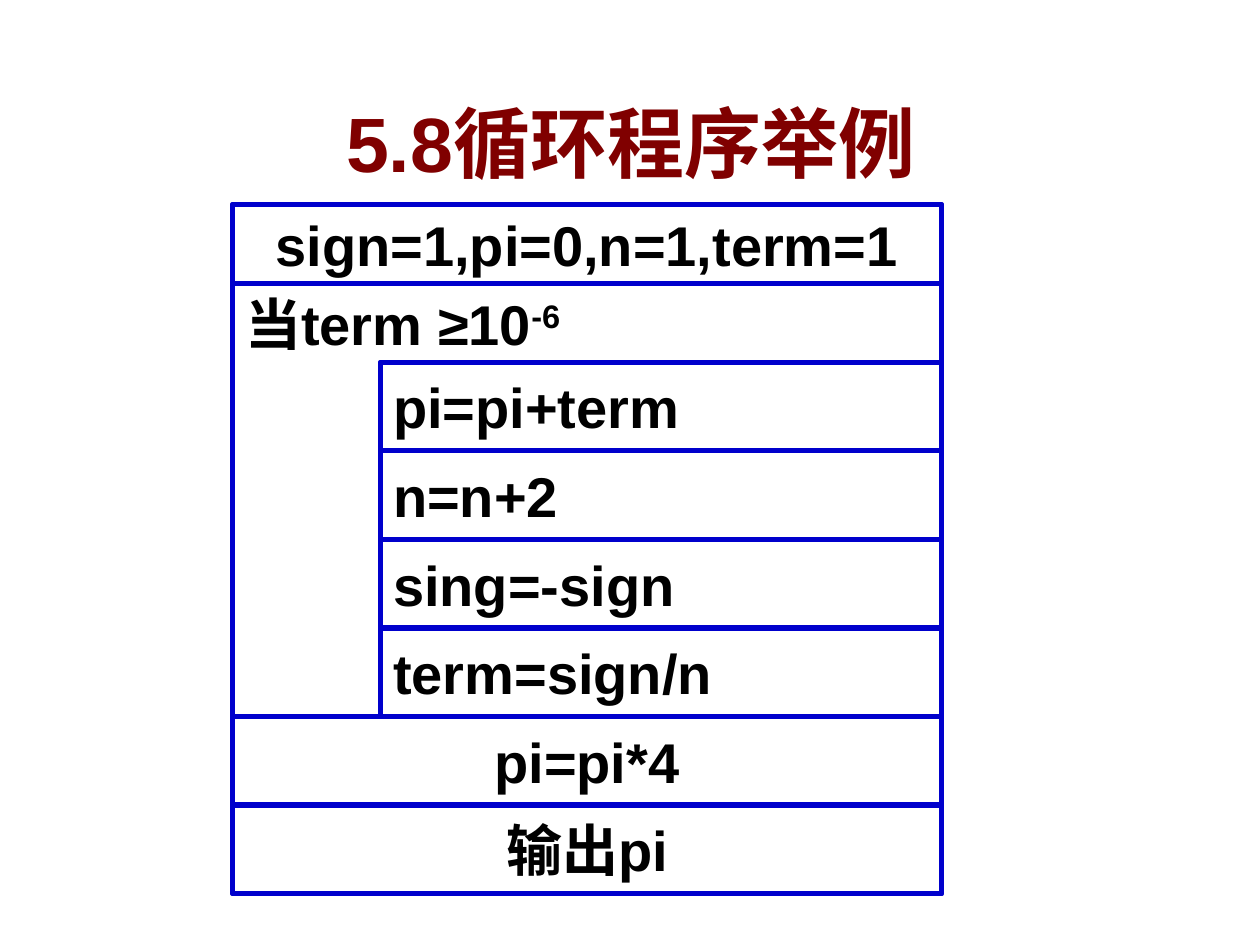
import pptx
import pptx.util
import pptx.dml.color
import pptx.enum.shapes
import pptx.enum.text
import pptx.oxml
import pptx.oxml.ns

Pt = pptx.util.Pt
RGB = pptx.dml.color.RGBColor
Kind = pptx.enum.shapes.MSO_SHAPE
Align = pptx.enum.text.PP_ALIGN
Anchor = pptx.enum.text.MSO_ANCHOR

WHITE = RGB(0xFF, 0xFF, 0xFF)
BLACK = RGB(0, 0, 0)
BLUE = RGB(0, 0, 0xCC)
MAROON = RGB(0x80, 0, 0)

SHADOW = (
    f'<a:effectLst {pptx.oxml.ns.nsdecls("a")}>'
    '<a:outerShdw dist="38100" dir="2700000" algn="tl">'
    '<a:srgbClr val="C0C0C0"/></a:outerShdw></a:effectLst>'
)


def add_text(para, text, size=32, color=BLACK, font="Arial", bold=True, base=0):
    run = para.add_run()
    run.text = text
    run.font.size = Pt(size)
    run.font.bold = bold
    run.font.name = font
    run.font.color.rgb = color
    if base:
        run.font._element.set("baseline", str(base * 1000))
    return run


class Deck:
    line = BLUE
    fill = WHITE
    weight = 3

    def __init__(self, wide, high):
        self.file = pptx.Presentation()
        self.file.slide_width = Pt(wide)
        self.file.slide_height = Pt(high)
        self.slide = self.file.slides.add_slide(self.file.slide_layouts[5])
        self.group = self.slide.shapes.add_group_shape()

    def title(self, text, left, top, wide, high):
        shape = self.slide.shapes.title
        shape.left, shape.top = Pt(left), Pt(top)
        shape.width, shape.height = Pt(wide), Pt(high)
        frame = shape.text_frame
        frame.vertical_anchor = Anchor.MIDDLE
        para = frame.paragraphs[0]
        para.alignment = Align.CENTER
        run = add_text(para, text, size=44, color=MAROON)
        fill = run.font._element.find(pptx.oxml.ns.qn("a:solidFill"))
        fill.addnext(pptx.oxml.parse_xml(SHADOW))

    def box(self, left, top, wide, high, text="", power="",
            kind=Kind.FLOWCHART_PROCESS, align=Align.LEFT, anchor=Anchor.MIDDLE):
        shape = self.group.shapes.add_shape(
            kind, Pt(left), Pt(top), Pt(wide), Pt(high))
        shape.shadow.inherit = False
        shape.fill.solid()
        shape.fill.fore_color.rgb = self.fill
        shape.line.color.rgb = self.line
        shape.line.width = Pt(self.weight)
        if not text:
            return
        frame = shape.text_frame
        frame.word_wrap = False
        frame.vertical_anchor = anchor
        para = frame.paragraphs[0]
        para.alignment = align
        add_text(para, text)
        if power:
            add_text(para, power, base=30)


def main():
    deck = Deck(720, 540)
    deck.title("5.8循环程序举例", 101.5, 51, 518, 60.5)

    left, top, wide = 133, 117, 405
    inset, head, row = 84.5, 45, 50.6
    steps = ["pi=pi+term", "n=n+2", "sing=-sign", "term=sign/n"]
    ends = ["pi=pi*4", "输出pi"]
    loop = top + head
    body = loop + head
    tail = body + len(steps) * row

    deck.box(left, top, wide, tail + len(ends) * row - top)
    deck.box(left, top, wide, head, "sign=1,pi=0,n=1,term=1",
             kind=Kind.RECTANGLE, align=Align.CENTER)
    deck.box(left, loop, wide, tail - loop, "当term ≥10", "-6",
             kind=Kind.RECTANGLE, anchor=Anchor.TOP)
    deck.box(left + inset, body, wide - inset, tail - body)
    for i, step in enumerate(steps):
        deck.box(left + inset, body + i * row, wide - inset, row, step)
    for i, end in enumerate(ends):
        deck.box(left, tail + i * row, wide, row, end, align=Align.CENTER)

    deck.file.save("out.pptx")


if __name__ == "__main__":
    main()
